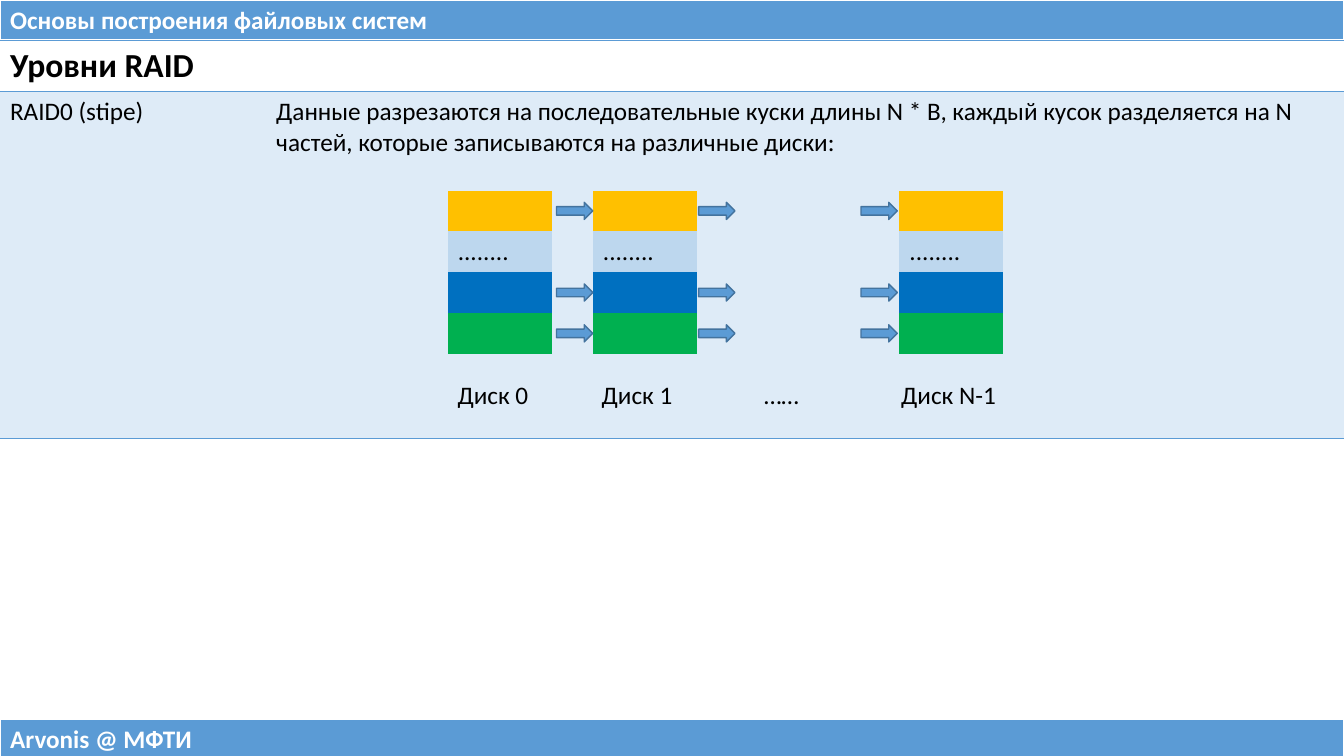
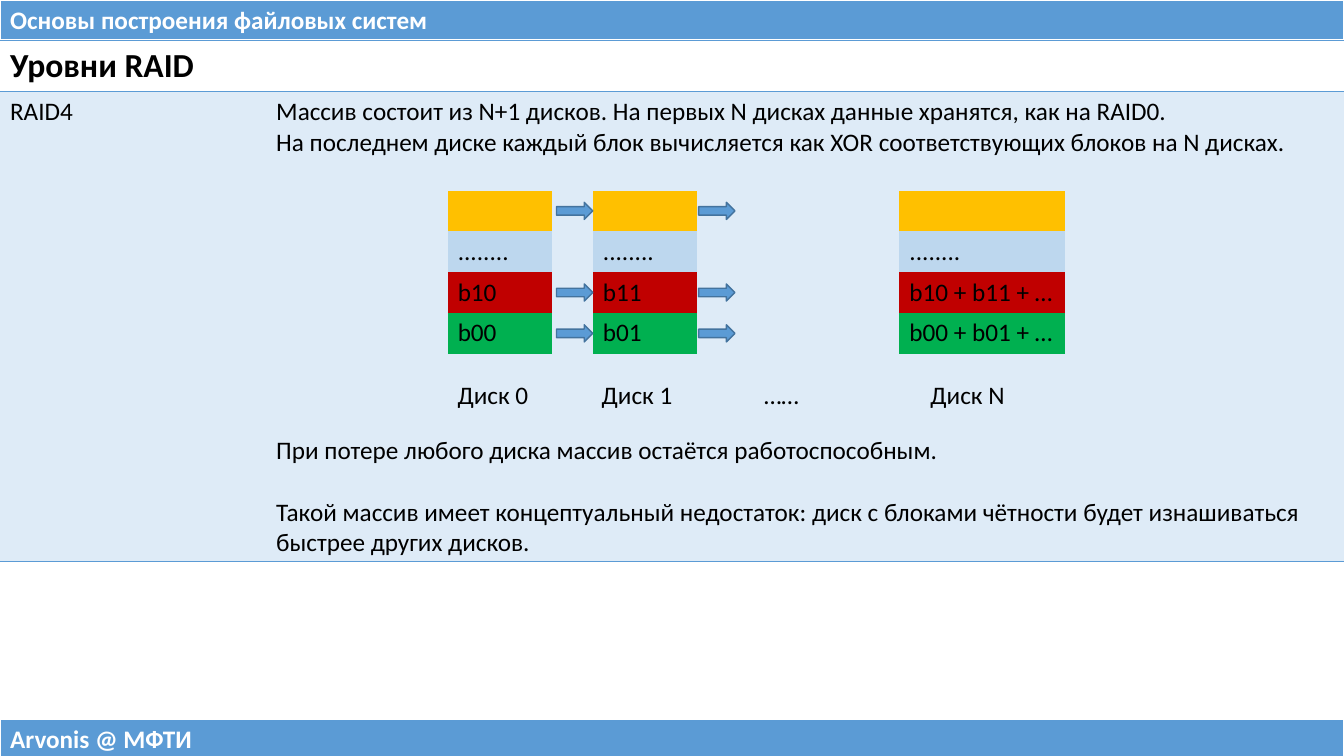
import pptx
import pptx.util
import pptx.dml.color
import pptx.enum.shapes
import pptx.oxml
import pptx.oxml.ns
from pptx.util import Inches

COLORS = {
    "band": "5B9BD5",
    "panel": "DEEBF7",
    "arrow_line": "43739E",
    "white": "FFFFFF",
    "black": "000000",
    "yellow": "FFC000",
    "pale": "BDD7EE",
    "blue": "0070C0",
    "red": "C00000",
    "green": "00B050",
}
FONT = "Calibri"
SLIDE_W, SLIDE_H = 13.33, 7.5
NO_STYLE = "{2D5ABB26-0587-4C30-8999-92F81FD0307C}"
LINE = 22  # height of one body text line, points

STACK_H = 1.62
ROW_H = STACK_H / 4
ARROW_W, ARROW_H = 0.36, 0.17
ARROW_ROWS = (0, 2, 3)

RAID_SLIDES = [
    {
        "level": "RAID0 (stipe)",
        "body_h": 3.44,
        "paragraphs": [
            (0, ["Данные разрезаются на последовательные куски длины N * B, каждый кусок "
                 "разделяется на N частей, которые записываются на различные диски:"]),
        ],
        "rows": ("yellow", "pale", "blue", "green"),
        "disks": [(0, 1.03, "", ""), (1.44, 1.03, "", ""), (4.48, 1.03, "", "")],
        "arrows": (1.08, 2.49, 4.1),
        "labels": [(0, "Диск 0"), (1.43, "Диск 1"), (3.04, "……"), (4.4, "Диск N-1")],
    },
    {
        "level": "RAID4",
        "body_h": 4.66,
        "paragraphs": [
            (0, ["Массив состоит из N+1 дисков. На первых N дисках данные хранятся, как на RAID0.",
                 "На последнем диске каждый блок вычисляется как XOR соответствующих "
                 "блоков на N дисках."]),
            (9 * LINE, ["При потере любого диска массив остаётся работоспособным."]),
            (LINE, ["Такой массив имеет концептуальный недостаток: диск с блоками чётности "
                    "будет изнашиваться быстрее других дисков."]),
        ],
        "rows": ("yellow", "pale", "red", "green"),
        "disks": [(0, 1.03, "b10", "b00"), (1.44, 1.03, "b11", "b01"),
                  (4.48, 1.64, "b10 + b11 + …", "b00 + b01 + …")],
        "arrows": (1.08, 2.49),
        "labels": [(0, "Диск 0"), (1.43, "Диск 1"), (3.04, "……"), (4.69, "Диск N")],
    },
]


def rgb(name):
    return pptx.dml.color.RGBColor.from_string(COLORS[name])


def add_run(paragraph, text, size=18, bold=False, color="black"):
    run = paragraph.add_run()
    run.text = text
    run.font.name = FONT
    run.font.size = pptx.util.Pt(size)
    run.font.bold = bold
    run.font.color.rgb = rgb(color)


def add_plain_table(slide, left, top, col_widths, row_heights):
    """Add a table without any built-in style."""
    table = slide.shapes.add_table(
        len(row_heights), len(col_widths), Inches(left), Inches(top),
        Inches(sum(col_widths)), Inches(sum(row_heights))).table
    table.first_row = table.horz_banding = False
    table._tbl.find(".//" + pptx.oxml.ns.qn("a:tableStyleId")).text = NO_STYLE
    for column, width in zip(table.columns, col_widths):
        column.width = Inches(width)
    for row, height in zip(table.rows, row_heights):
        row.height = Inches(height)
    return table


def style_cell(cell, fill, borders=()):
    """Set borders, given as (side, points, colour) in the order L, R, T, B, then the fill."""
    for side, points, color in borders:
        cell._tc.get_or_add_tcPr().append(pptx.oxml.parse_xml(
            f'<a:ln{side} {pptx.oxml.ns.nsdecls("a")} w="{pptx.util.Pt(points)}">'
            f'<a:solidFill><a:srgbClr val="{COLORS[color]}"/></a:solidFill></a:ln{side}>'))
    if fill:
        cell.fill.solid()
        cell.fill.fore_color.rgb = rgb(fill)
    else:
        cell.fill.background()


def add_band(slide, top, height, text):
    cell = add_plain_table(slide, 0, top, [SLIDE_W], [height]).cell(0, 0)
    style_cell(cell, "band", [("L", 1, "white"), ("R", 1, "white"),
                              ("T", 1, "white"), ("B", 3, "white")])
    add_run(cell.text_frame.paragraphs[0], text, bold=True, color="white")


def add_description(slide, top, level, paragraphs, body_h):
    """Add the title row and, under it, the RAID level with its explanation."""
    table = add_plain_table(slide, 0, top, [2.64, 10.69], [0.51, body_h])
    bottom = ("B", 1, "band")
    for column in range(2):
        style_cell(table.cell(0, column), None, [("T", 1, "band"), bottom])
        style_cell(table.cell(1, column), "panel", [bottom])
    title = table.cell(0, 0)
    title.merge(table.cell(0, 1))
    add_run(title.text_frame.paragraphs[0], "Уровни RAID", size=24, bold=True)
    add_run(table.cell(1, 0).text_frame.paragraphs[0], level)

    explanation = table.cell(1, 1).text_frame
    for index, (gap, lines) in enumerate(paragraphs):
        paragraph = explanation.add_paragraph() if index else explanation.paragraphs[0]
        if gap:
            paragraph.space_before = pptx.util.Pt(gap)
        for number, line in enumerate(lines):
            if number:
                paragraph.add_line_break()
            add_run(paragraph, line)


def add_disk(slide, left, top, width, row_colors, blocks):
    table = add_plain_table(slide, left, top, [width], [ROW_H] * len(row_colors))
    for row, (color, block) in enumerate(zip(row_colors, blocks)):
        cell = table.cell(row, 0)
        style_cell(cell, color)
        if block:
            add_run(cell.text_frame.paragraphs[0], block)


def add_arrow(slide, left, top):
    arrow = slide.shapes.add_shape(
        pptx.enum.shapes.MSO_SHAPE.RIGHT_ARROW,
        Inches(left), Inches(top), Inches(ARROW_W), Inches(ARROW_H))
    arrow.shadow.inherit = False
    arrow.fill.solid()
    arrow.fill.fore_color.rgb = rgb("band")
    arrow.line.color.rgb = rgb("arrow_line")
    arrow.line.width = pptx.util.Pt(1)


def add_disk_labels(slide, left, top, labels):
    """Write the disk names on one line, each at its own tab stop."""
    box = slide.shapes.add_textbox(Inches(left), Inches(top), Inches(5.93), Inches(0.4))
    box.text_frame.word_wrap = True
    paragraph = box.text_frame.paragraphs[0]
    stops = "".join(f'<a:tab pos="{Inches(stop)}" algn="l"/>' for stop, _ in labels[1:])
    paragraph._p.get_or_add_pPr().append(pptx.oxml.parse_xml(
        f'<a:tabLst {pptx.oxml.ns.nsdecls("a")}>{stops}</a:tabLst>'))
    for stop, name in labels:
        add_run(paragraph, "\t" + name if stop else name)


def add_disk_array(slide, left, top, content):
    for offset, width, upper, lower in content["disks"]:
        add_disk(slide, left + offset, top, width, content["rows"],
                 ("", "........", upper, lower))
    for row in ARROW_ROWS:
        for offset in content["arrows"]:
            add_arrow(slide, left + offset, top + (row + 0.5) * ROW_H - ARROW_H / 2)
    add_disk_labels(slide, left, top + STACK_H + 0.2, content["labels"])


def add_raid_slide(deck, content):
    slide = deck.slides.add_slide(deck.slide_layouts[6])
    add_band(slide, 0, 0.4, "Основы построения файловых систем")
    add_band(slide, 7.14, 0.36, "Arvonis @ МФТИ")
    add_description(slide, 0.4, content["level"], content["paragraphs"], content["body_h"])
    add_disk_array(slide, 4.44, 1.89, content)


def main():
    deck = pptx.Presentation()
    deck.slide_width, deck.slide_height = Inches(SLIDE_W), Inches(SLIDE_H)
    for content in RAID_SLIDES:
        add_raid_slide(deck, content)
    deck.save("out.pptx")


if __name__ == "__main__":
    main()
